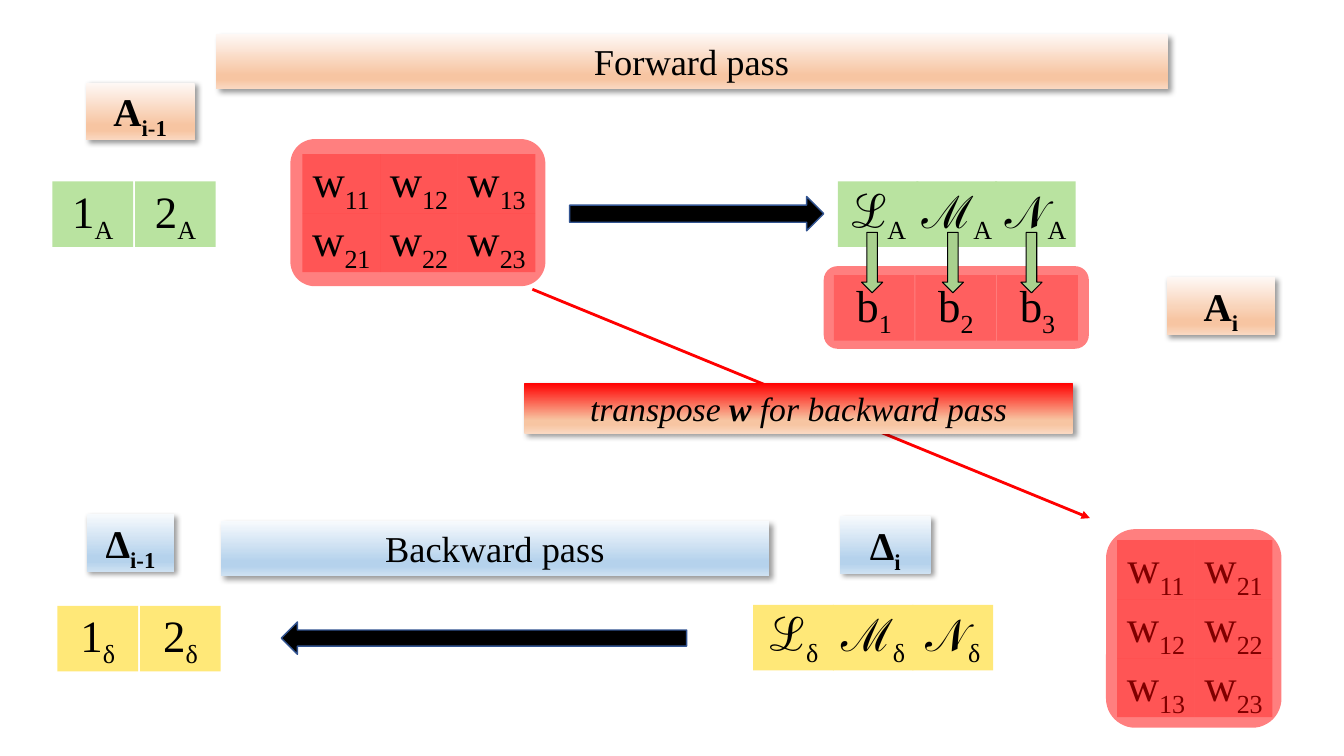
from lxml import etree
from pptx import Presentation
from pptx.dml.color import RGBColor
from pptx.enum import shapes, text
from pptx.oxml import ns
from pptx.util import Inches, Pt

BLACK = RGBColor(0x00, 0x00, 0x00)
RED = RGBColor(0xFF, 0x00, 0x00)
GREEN = RGBColor(0xB9, 0xE3, 0xA0)
YELLOW = RGBColor(0xFF, 0xE8, 0x78)
ARROW_GREEN = RGBColor(0xA9, 0xD1, 0x8E)
ARROW_EDGE = RGBColor(0x32, 0x54, 0x91)
PEACH_TOP = RGBColor(0xFE, 0xF8, 0xF5)
PEACH = RGBColor(0xF7, 0xC5, 0xA2)
PEACH_END = RGBColor(0xFA, 0xD8, 0xC1)
BLUE_TOP = RGBColor(0xF7, 0xFA, 0xFD)
BLUE = RGBColor(0xB5, 0xD2, 0xEC)
BLUE_END = RGBColor(0xCE, 0xE1, 0xF2)

FORWARD = (PEACH_TOP, PEACH, PEACH, PEACH_END)
TRANSPOSE = (RED, PEACH, PEACH, PEACH_END)
BACKWARD = (BLUE_TOP, BLUE, BLUE, BLUE_END)
FONT = "Times New Roman"
SHAPE = shapes.MSO_SHAPE


def add_child(parent, tag, **attrs):
    child = etree.SubElement(parent, ns.qn(tag))
    for name, value in attrs.items():
        child.set(name, str(value))
    return child


def add_shape(s, kind, x, y, w, h):
    sp = s.shapes.add_shape(kind, Inches(x), Inches(y), Inches(w), Inches(h))
    sp.shadow.inherit = False
    sp.line.fill.background()
    return sp


def fill_solid(sp, color, opacity=100):
    sp.fill.solid()
    sp.fill.fore_color.rgb = color
    if opacity < 100:
        clr = sp._element.spPr.find(".//" + ns.qn("a:srgbClr"))
        add_child(clr, "a:alpha", val=opacity * 1000)


def fill_gradient(sp, colors):
    sp.fill.gradient()
    sp.fill.gradient_angle = 270
    stops = sp._element.spPr.find(".//" + ns.qn("a:gsLst"))
    for stop in list(stops):
        stops.remove(stop)
    for pos, color in zip((0, 74, 83, 100), colors):
        stop = add_child(stops, "a:gs", pos=pos * 1000)
        add_child(stop, "a:srgbClr", val=color)


def add_shadow(sp):
    effects = sp._element.spPr.find(ns.qn("a:effectLst"))
    shadow = add_child(effects, "a:outerShdw", blurRad=Pt(4), dist=Pt(3),
                       dir=45 * 60000, algn="tl", rotWithShape=0)
    clr = add_child(shadow, "a:srgbClr", val=BLACK)
    add_child(clr, "a:alpha", val=40000)


def add_run(p, content, size, bold=False, italic=False, subscript=False):
    r = p.add_run()
    r.text = content
    r.font.name = FONT
    r.font.size = Pt(size)
    r.font.color.rgb = BLACK
    r.font.bold = bold
    r.font.italic = italic
    if subscript:
        r.font._element.set("baseline", "-25000")


def add_cell(s, x, y, w, h, base, sub, color, opacity=100):
    sp = add_shape(s, SHAPE.RECTANGLE, x, y, w, h)
    fill_solid(sp, color, opacity)
    tf = sp.text_frame
    tf.margin_left = tf.margin_right = tf.margin_top = tf.margin_bottom = 0
    tf.vertical_anchor = text.MSO_ANCHOR.MIDDLE
    tf.word_wrap = True
    p = tf.paragraphs[0]
    p.alignment = text.PP_ALIGN.CENTER
    add_run(p, base, 32)
    add_run(p, sub, 32, subscript=True)


def add_vector(s, x, y, pitch, labels, color, opacity=100):
    for i, (base, sub) in enumerate(labels):
        add_cell(s, x + i * pitch, y, 0.8, 0.65, base, sub, color, opacity)


def add_matrix(s, x, y, rows):
    for i, row in enumerate(rows):
        for j, sub in enumerate(row):
            add_cell(s, x + j * 0.77, y + i * 0.585, 0.77, 0.585, "w", sub, RED, 33)


def add_frame(s, x, y, w, h):
    fill_solid(add_shape(s, SHAPE.ROUNDED_RECTANGLE, x, y, w, h), RED, 50)


def add_banner(s, x, y, w, h, colors):
    sp = add_shape(s, SHAPE.RECTANGLE, x, y, w, h)
    fill_gradient(sp, colors)
    add_shadow(sp)
    tf = sp.text_frame
    tf.word_wrap = False
    tf.vertical_anchor = text.MSO_ANCHOR.TOP
    p = tf.paragraphs[0]
    p.alignment = text.PP_ALIGN.CENTER
    return p


def add_tag(s, x, y, w, base, sub, colors):
    p = add_banner(s, x, y, w, 0.57, colors)
    add_run(p, base, 28, bold=True)
    add_run(p, sub, 28, bold=True, subscript=True)


def add_arrow(s, x, y, w, h, rotation, color, edge, edge_width):
    sp = add_shape(s, SHAPE.RIGHT_ARROW, x, y, w, h)
    sp.rotation = rotation
    fill_solid(sp, color)
    sp.line.color.rgb = edge
    sp.line.width = Pt(edge_width)


def add_transpose_line(s):
    line = s.shapes.add_connector(shapes.MSO_CONNECTOR.STRAIGHT, Inches(5.28),
                                  Inches(2.87), Inches(10.81), Inches(5.14))
    line.line.color.rgb = RED
    line.line.width = Pt(2)
    add_child(line.line._get_or_add_ln(), "a:tailEnd", type="triangle")
    add_child(line._element.spPr, "a:effectLst")


def main():
    prs = Presentation()
    prs.slide_width = Inches(13.33)
    prs.slide_height = Inches(7.5)
    s = prs.slides.add_slide(prs.slide_layouts[6])

    add_vector(s, 8.31, 1.8, 0.78, [(c, "A") for c in "ℒℳ𝒩"], GREEN)
    add_run(add_banner(s, 2.19, 5.17, 5.44, 0.54, BACKWARD), "Backward pass", 26)
    add_tag(s, 8.33, 5.12, 0.9, "Δ", "i", BACKWARD)
    add_arrow(s, 2.79, 6.17, 4.02, 0.32, 180, BLACK, ARROW_EDGE, 1)
    add_tag(s, 0.86, 5.1, 0.87, "Δ", "i-1", BACKWARD)
    add_run(add_banner(s, 2.14, 0.34, 9.44, 0.54, FORWARD), "Forward pass", 26)
    add_tag(s, 0.85, 0.82, 1.08, "A", "i-1", FORWARD)
    add_tag(s, 11.57, 2.75, 1.08, "A", "i", FORWARD)
    add_arrow(s, 5.65, 1.95, 2.52, 0.34, 0, BLACK, ARROW_EDGE, 1)
    add_vector(s, 0.52, 1.8, 0.82, [(c, "A") for c in "12"], GREEN)
    add_vector(s, 0.57, 6.01, 0.82, [(c, "δ") for c in "12"], YELLOW)

    add_transpose_line(s)
    p = add_banner(s, 5.2, 3.8, 5.44, 0.5, TRANSPOSE)
    add_run(p, "transpose ", 24, italic=True)
    add_run(p, "w", 24, bold=True, italic=True)
    add_run(p, " for backward pass", 24, italic=True)

    weights = [("11", "12", "13"), ("21", "22", "23")]
    add_frame(s, 2.88, 1.38, 2.53, 1.46)
    add_matrix(s, 3, 1.53, weights)
    add_matrix(s, 11.08, 5.36, zip(*weights))
    add_frame(s, 10.97, 5.25, 1.74, 1.97)

    add_vector(s, 7.47, 6, 0.79, [(c, "δ") for c in "ℒℳ𝒩"], YELLOW)
    add_frame(s, 8.17, 2.64, 2.63, 0.82)
    add_vector(s, 8.27, 2.73, 0.81, [("b", c) for c in "123"], RED, 25)
    for x in (8.35, 9.15, 9.93):
        add_arrow(s, x, 2.5, 0.6, 0.21, 90, ARROW_GREEN, BLACK, 0)

    prs.save("out.pptx")


if __name__ == "__main__":
    main()
